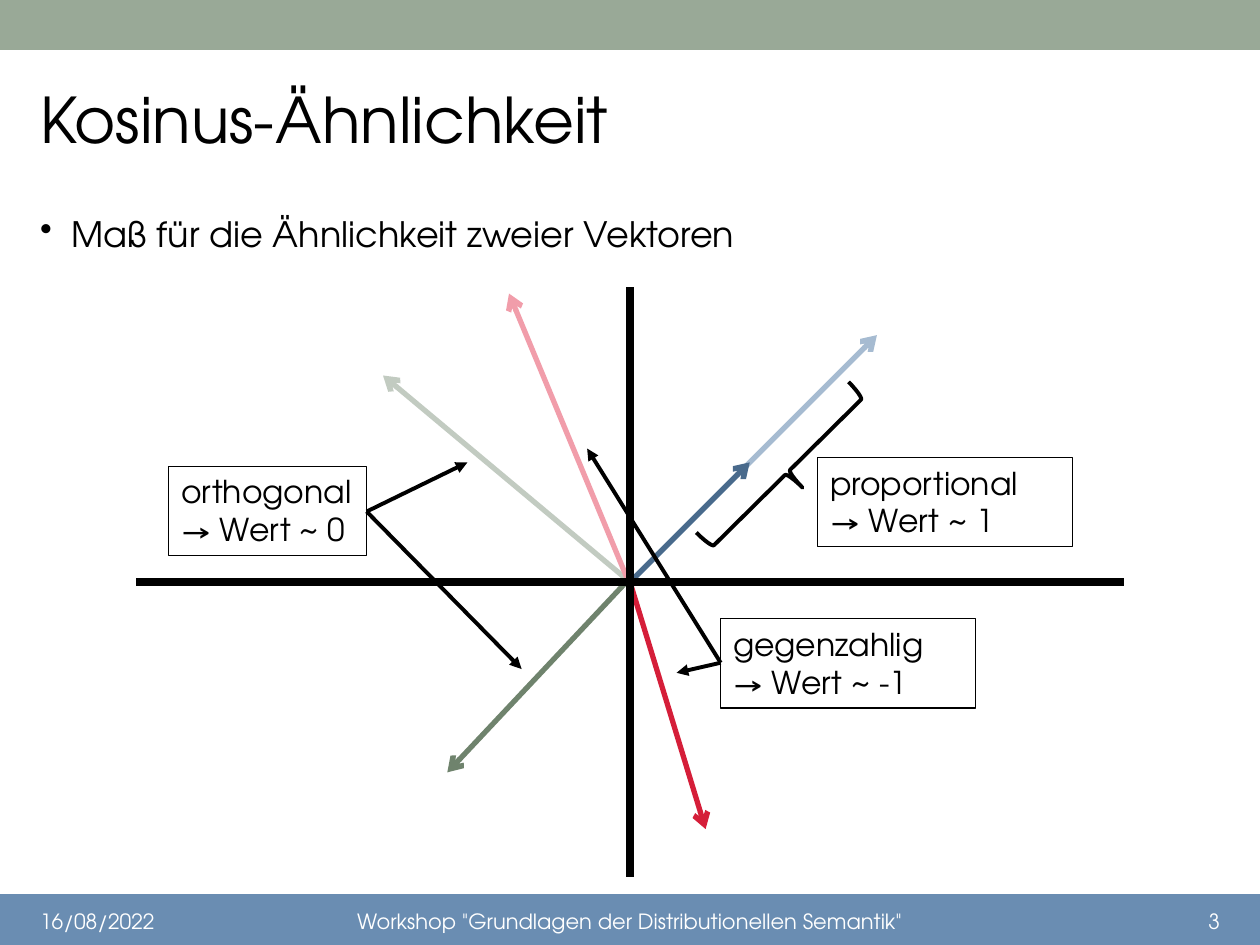
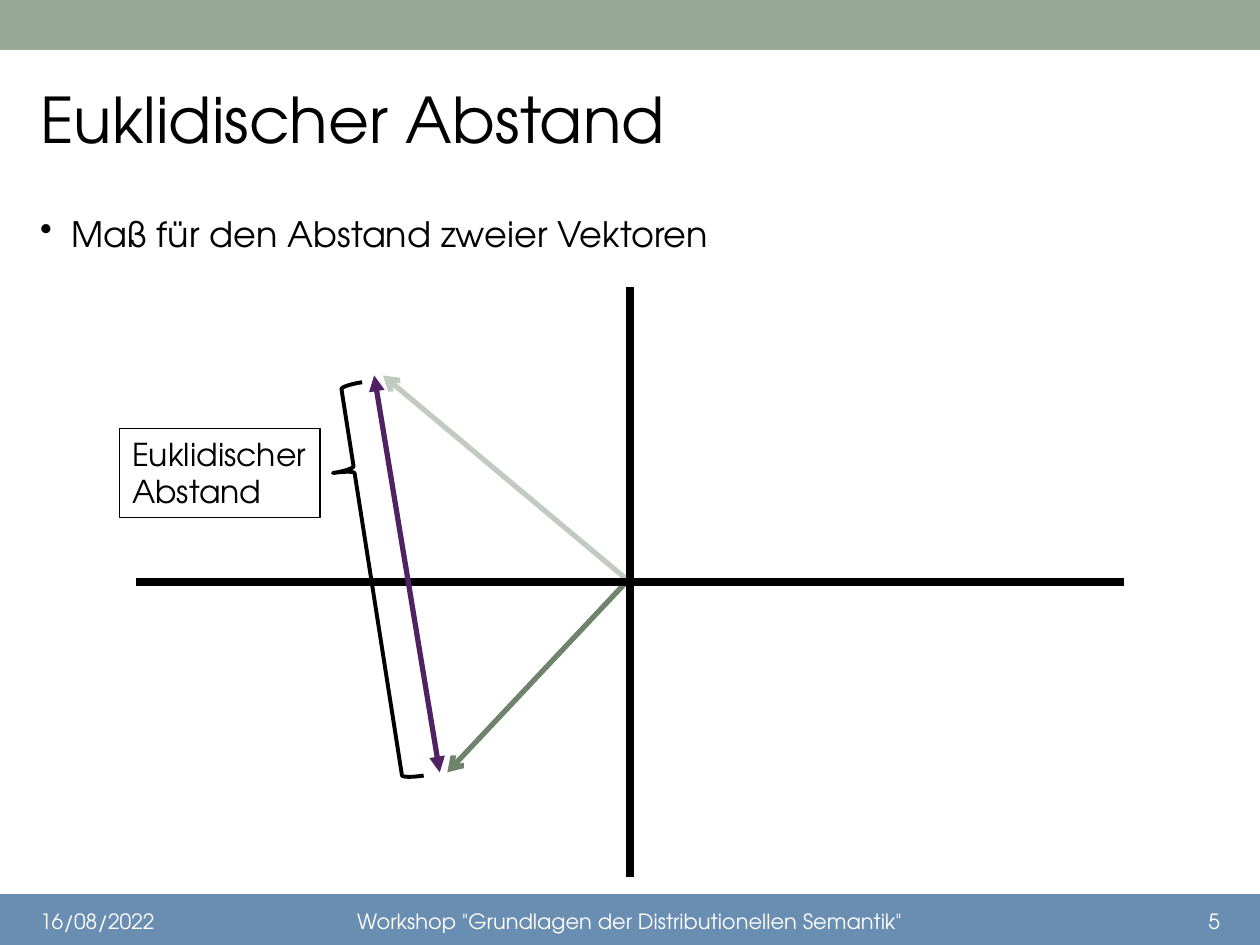
from dataclasses import dataclass
from pptx import Presentation
from pptx.dml.color import RGBColor
from pptx.enum.shapes import MSO_CONNECTOR, MSO_SHAPE
from pptx.enum.text import MSO_ANCHOR, PP_ALIGN
from pptx.oxml.ns import qn
from pptx.util import Inches, Pt
from lxml.etree import SubElement


@dataclass(frozen=True)
class Theme:
    font: str = "TeX Gyre Adventor"
    title: int = 36
    body: int = 20
    label: int = 18
    footer: int = 12
    black: str = "000000"
    white: str = "FFFFFF"
    header_band: str = "99A997"
    footer_band: str = "6A8DB2"
    blue: str = "496A8C"
    light_blue: str = "A6BBD1"
    green: str = "6F836D"
    light_green: str = "C2CBC1"
    red: str = "D51E39"
    light_red: str = "F19DAA"
    purple: str = "512263"
    thin: float = 0.75
    band_line: float = 1
    pointer: float = 2.25
    vector: float = 3
    axis: float = 4.5


T = Theme()
DATE = "16/08/2022"
EVENT = 'Workshop "Grundlagen der Distributionellen Semantik"'
HEADER_BOX = (0, 0, 10, 0.39)
FOOTER_BOX = (0, 7.1, 10, 0.39)
TITLE_BOX = (0.22, 0.54, 8.62, 0.79)
BODY_BOX = (0.22, 1.47, 9.57, 5.49)
PLOT_BOX = (1.08, 2.28, 7.84, 4.68)
GREEN_PAIR = [
    ((0, 0), (-1.96, -1.64), T.light_green),
    ((-0.03, 0), (-1.45, 1.51), T.green),
]


def inches(*values):
    return [Inches(v) for v in values]


def rgb(color):
    return RGBColor.from_string(color)


def add_paragraphs(tf, lines, size, color, align=PP_ALIGN.LEFT):
    for i, line in enumerate(lines):
        p = tf.add_paragraph() if i else tf.paragraphs[0]
        p.text = line
        p.alignment = align
        p.font.name = T.font
        p.font.size = Pt(size)
        p.font.color.rgb = rgb(color)


def add_text(slide, box, text, size, color, align=PP_ALIGN.LEFT, anchor=MSO_ANCHOR.MIDDLE):
    tf = slide.shapes.add_textbox(*inches(*box)).text_frame
    tf.word_wrap = True
    tf.vertical_anchor = anchor
    add_paragraphs(tf, [text], size, color, align)
    return tf.paragraphs[0]


def add_outline(slide, kind, box, color, width, fill=None):
    sp = slide.shapes.add_shape(kind, *inches(*box))
    sp.shadow.inherit = False
    if fill:
        sp.fill.solid()
        sp.fill.fore_color.rgb = rgb(fill)
    else:
        sp.fill.background()
    sp.line.color.rgb = rgb(color)
    sp.line.width = Pt(width)
    return sp


def add_line(slide, start, end, color, width, head=None, tail=None):
    line = slide.shapes.add_connector(MSO_CONNECTOR.STRAIGHT, *inches(*start, *end))
    line.line.color.rgb = rgb(color)
    line.line.width = Pt(width)
    ln = line.line._get_or_add_ln()
    for tag, kind in (("a:headEnd", head), ("a:tailEnd", tail)):
        if kind:
            SubElement(ln, qn(tag)).set("type", kind)
    SubElement(line._element.spPr, qn("a:effectLst"))


def add_band(slide, box, color):
    add_outline(slide, MSO_SHAPE.RECTANGLE, box, color, T.band_line, color)


def add_footer(slide, box, number):
    left, top, width, _ = box
    add_band(slide, box, T.footer_band)
    margin, side, middle = 0.22, 2.25, 4.64
    for x, w, text, align in (
        (margin, side, DATE, PP_ALIGN.LEFT),
        ((width - middle) / 2, middle, EVENT, PP_ALIGN.CENTER),
        (width - margin - side, side, str(number), PP_ALIGN.RIGHT),
    ):
        add_text(slide, (left + x, top + 0.09, w, 0.24), text, T.footer, T.white, align)


def add_bullet(slide, box, text):
    p = add_text(slide, box, text, T.body, T.black, anchor=MSO_ANCHOR.TOP)
    p.line_spacing = 1.5
    p.space_before = Pt(10)
    pPr = p._p.get_or_add_pPr()
    pPr.set("marL", str(Inches(0.25)))
    pPr.set("indent", str(-Inches(0.25)))
    bullet = pPr.makeelement(qn("a:buChar"), {"char": "•"})
    pPr.find(qn("a:defRPr")).addprevious(bullet)


def add_plot(slide, box, vectors):
    left, top, width, height = box
    x, y = left + width / 2, top + height / 2
    for (x1, y1), (x2, y2), color in vectors:
        add_line(slide, (x + x1, y + y1), (x + x2, y + y2), color, T.vector, tail="arrow")
    add_line(slide, (x, top), (x, top + height), T.black, T.axis)
    add_line(slide, (left, y), (left + width, y), T.black, T.axis)


def add_brace(slide, box, rotation, adjustments=()):
    sp = add_outline(slide, MSO_SHAPE.RIGHT_BRACE, box, T.black, T.pointer)
    sp.rotation = rotation
    for i, value in enumerate(adjustments):
        sp.adjustments[i] = value


def add_label(slide, box, lines, anchor=None, targets=()):
    sp = add_outline(slide, MSO_SHAPE.RECTANGLE, box, T.black, T.thin)
    tf = sp.text_frame
    tf.word_wrap = True
    tf.margin_right = 0
    tf.vertical_anchor = MSO_ANCHOR.TOP
    add_paragraphs(tf, lines, T.label, T.black)
    for target in targets:
        add_line(slide, anchor, target, T.black, T.pointer, tail="triangle")


def add_base(prs, title, bullet, number):
    slide = prs.slides.add_slide(prs.slide_layouts[6])
    add_band(slide, HEADER_BOX, T.header_band)
    add_footer(slide, FOOTER_BOX, number)
    add_text(slide, TITLE_BOX, title, T.title, T.black)
    add_bullet(slide, BODY_BOX, bullet)
    return slide


def add_cosine_slide(prs):
    slide = add_base(prs, "Kosinus-Ähnlichkeit", "Maß für die Ähnlichkeit zweier Vektoren", 3)
    add_plot(slide, PLOT_BOX, [
        ((0, 0), (1.96, -1.96), T.light_blue),
        ((0, 0), (0.95, -0.95), T.blue),
        *GREEN_PAIR,
        ((0, 0), (0.6, 1.96), T.red),
        ((-0.01, 0), (-0.96, -2.29), T.light_red),
    ])
    add_brace(slide, (6.08, 2.9, 0.34, 1.7), 45.3)
    add_label(slide, (6.49, 3.63, 2.02, 0.71), ["proportional", "→ Wert ~ 1"])
    add_label(slide, (1.34, 3.7, 1.57, 0.71), ["orthogonal", "→ Wert ~ 0"],
              (2.91, 4.06), [(3.71, 3.67), (4.14, 5.31)])
    add_label(slide, (5.72, 4.91, 2.02, 0.71), ["gegenzahlig", "→ Wert ~ -1"],
              (5.72, 5.26), [(5.37, 5.34), (4.66, 3.56)])


def add_distance_slide(prs):
    slide = add_base(prs, "Euklidischer Abstand", "Maß für den Abstand zweier Vektoren", 5)
    add_plot(slide, PLOT_BOX, GREEN_PAIR)
    add_line(slide, (2.97, 2.98), (3.49, 6.13), T.purple, T.vector, "triangle", "triangle")
    add_brace(slide, (2.78, 3.04, 0.34, 3.16), 171.1, (0.083, 0.786))
    add_label(slide, (0.95, 3.4, 1.59, 0.71), ["Euklidischer", "Abstand"])


prs = Presentation()
prs.slide_width, prs.slide_height = inches(10, 7.5)
add_cosine_slide(prs)
add_distance_slide(prs)
prs.save("out.pptx")
